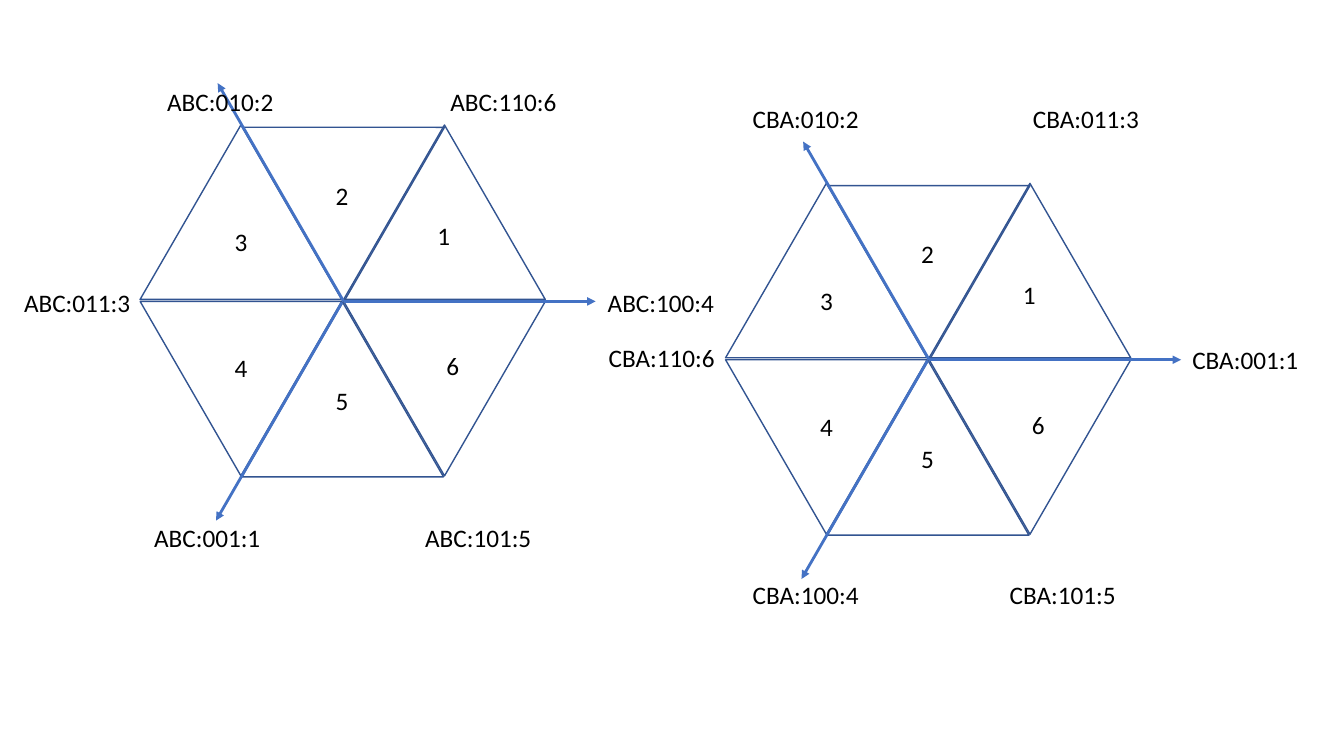
from math import cos, radians, sin
from lxml.etree import SubElement
from pptx import Presentation
from pptx.dml.color import RGBColor
from pptx.enum.shapes import MSO_CONNECTOR as Conn, MSO_SHAPE as Shape
from pptx.enum.text import MSO_AUTO_SIZE as AutoSize
from pptx.oxml.ns import qn
from pptx.util import Pt

# Content: every offset is measured from the hexagon's centre
EDGE, AXIS, TEXT = "325491", "4472C4", "000000"
TRI_W, TRI_H = 144, 124.6
AXIS_LEN = 180
LABEL_W, DIGIT_W, TEXT_H = 91.4, 23.8, 28.8

TRIANGLES = [  # left, top, rotation
    (0, -126, 0), (-54, -155.5, 60), (-145.4, -126, 0),
    (0, 0, 180), (-72.7, 0.7, 0), (-145.4, 0, 180),
]
SECTORS = [  # left, top of the digits 1 to 6
    (59.8, -61.2), (-12.9, -90), (-84.9, -56.9),
    (-84.9, 33.1), (-12.9, 56.1), (66.3, 31.7),
]
AXES = [(0, 0, 0), (-1.2, 0.7, 120), (0, 0, 240)]  # start x, y, angle
HEXAGONS = [
    {"centre": (245.5, 215.3), "labels": [
        ("ABC:100:4", 181.5, -13.7), ("ABC:010:2", -133.2, -157),
        ("ABC:110:6", 69.1, -157), ("ABC:011:3", -235.4, -13.7),
        ("ABC:001:1", -142.5, 154.1), ("ABC:101:5", 51.1, 154.1)]},
    {"centre": (663.7, 257), "labels": [
        ("CBA:001:1", 180.9, -14.4), ("CBA:010:2", -133.1, -186.4),
        ("CBA:011:3", 67.1, -186.4), ("CBA:110:6", -236, -15.8),
        ("CBA:100:4", -133.1, 153.4), ("CBA:101:5", 50.5, 153.4)]},
]


def rgb(value):
    return RGBColor.from_string(value)


def add_triangle(s, x, y, rotation):
    sp = s.shapes.add_shape(Shape.ISOSCELES_TRIANGLE,
                            Pt(x), Pt(y), Pt(TRI_W), Pt(TRI_H))
    sp.rotation = rotation
    sp.shadow.inherit = False
    sp.fill.background()
    sp.line.color.rgb = rgb(EDGE)
    sp.line.width = Pt(1)


def add_text(s, text, x, y, width):
    tf = s.shapes.add_textbox(Pt(x), Pt(y), Pt(width), Pt(TEXT_H)).text_frame
    tf.word_wrap = False
    tf.auto_size = AutoSize.SHAPE_TO_FIT_TEXT
    r = tf.paragraphs[0].add_run()
    r.text = text
    r.font.name = "Calibri"
    r.font.size = Pt(18)
    r.font.color.rgb = rgb(TEXT)


def add_axis(s, x, y, angle):
    end_x = x + AXIS_LEN * cos(radians(angle))
    end_y = y + AXIS_LEN * sin(radians(angle))
    axis = s.shapes.add_connector(Conn.STRAIGHT,
                                  Pt(x), Pt(y), Pt(end_x), Pt(end_y))
    axis.line.color.rgb = rgb(AXIS)
    axis.line.width = Pt(2)
    SubElement(axis.line._get_or_add_ln(), qn("a:tailEnd"), type="triangle")
    SubElement(axis._element.spPr, qn("a:effectLst"))


prs = Presentation()
prs.slide_width, prs.slide_height = Pt(960), Pt(540)
s = prs.slides.add_slide(prs.slide_layouts[6])

for hexagon in HEXAGONS:
    cx, cy = hexagon["centre"]
    # Six sectors with their numbers
    for dx, dy, rotation in TRIANGLES:
        add_triangle(s, cx + dx, cy + dy, rotation)
    for number, (dx, dy) in enumerate(SECTORS, 1):
        add_text(s, str(number), cx + dx, cy + dy, DIGIT_W)
    # Three phase axes
    for dx, dy, angle in AXES:
        add_axis(s, cx + dx, cy + dy, angle)
    # Corner labels
    for label, dx, dy in hexagon["labels"]:
        add_text(s, label, cx + dx, cy + dy, LABEL_W)

prs.save("out.pptx")
